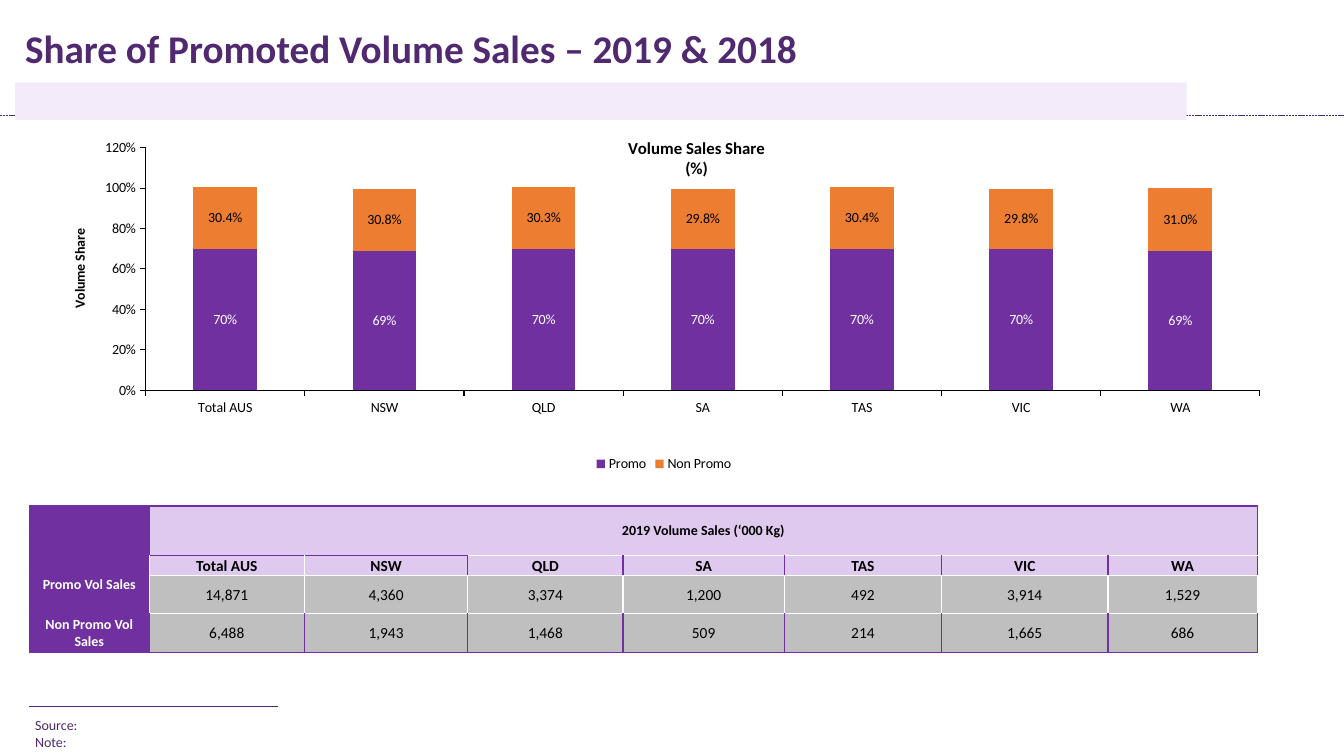
from lxml.etree import SubElement
from pptx import Presentation
from pptx.chart.data import CategoryChartData
from pptx.dml.color import RGBColor
from pptx.enum.chart import XL_CHART_TYPE, XL_LEGEND_POSITION, XL_TICK_MARK
from pptx.enum.dml import MSO_LINE
from pptx.enum.shapes import MSO_CONNECTOR, MSO_SHAPE
from pptx.enum.text import MSO_ANCHOR, PP_ALIGN
from pptx.oxml import parse_xml
from pptx.oxml.ns import nsdecls, qn
from pptx.util import Inches, Pt

FONT = "Calibri"
INK, PURPLE, LILAC, GREY = "502970", "7030A0", "DFC9EF", "BFBFBF"
BLACK, WHITE = "000000", "FFFFFF"
STATES = ["Total AUS", "NSW", "QLD", "SA", "TAS", "VIC", "WA"]
SHARES = [
    ("Promo", [0.7, 0.69, 0.7, 0.7, 0.7, 0.7, 0.69], PURPLE, "0%", WHITE),
    ("Non Promo", [0.304, 0.308, 0.303, 0.298, 0.304, 0.298, 0.31], "ED7D31", "0.0%", BLACK),
]
VOLUMES = [
    ("Promo Vol Sales", ["14,871", "4,360", "3,374", "1,200", "492", "3,914", "1,529"]),
    ("Non Promo Vol Sales", ["6,488", "1,943", "1,468", "509", "214", "1,665", "686"]),
]
COL_WIDTHS = [1.19, 1.54, 1.62, 1.54, 1.6, 1.56, 1.65, 1.48]
ROW_HEIGHTS = [0.25, 0.24, 0.2, 0.38, 0.38]


def rgb(value):
    """Return the colour for a hex string."""
    return RGBColor.from_string(value)


def style(font, size, color, bold=False):
    """Set size, colour and weight of a font."""
    font.name, font.size, font.bold = FONT, Pt(size), bold
    font.color.rgb = rgb(color)


def add_text(s, text, x, y, w, h, size=10, bold=False, wrap=False, anchor=MSO_ANCHOR.TOP):
    """Add a text box in the ink colour."""
    tf = s.shapes.add_textbox(Inches(x), Inches(y), Inches(w), Inches(h)).text_frame
    tf.word_wrap, tf.vertical_anchor = wrap, anchor
    r = tf.paragraphs[0].add_run()
    r.text = text
    style(r.font, size, INK, bold)


def add_rule(s, x1, x2, y, dash=None):
    """Add a thin horizontal line."""
    line = s.shapes.add_connector(MSO_CONNECTOR.STRAIGHT, Inches(x1), Inches(y), Inches(x2), Inches(y))
    line.line.color.rgb = rgb(INK)
    line.line.width = Pt(0.5)
    if dash:
        line.line.dash_style = dash
    SubElement(line._element.spPr, qn("a:effectLst"))


def add_band(s, x, y, w, h, fill):
    """Add a plain filled rectangle."""
    sp = s.shapes.add_shape(MSO_SHAPE.RECTANGLE, Inches(x), Inches(y), Inches(w), Inches(h))
    sp.shadow.inherit = False
    sp.fill.solid()
    sp.fill.fore_color.rgb = rgb(fill)
    sp.line.fill.background()


def set_layout(element, index, x, y, w=None, h=None):
    """Give a chart part a manual layout in fractions of the chart."""
    for old in element.findall(qn("c:layout")):
        element.remove(old)
    target = '<c:layoutTarget val="inner"/>' if w else ""
    size = f'<c:w val="{w}"/><c:h val="{h}"/>' if w else ""
    element.insert(index, parse_xml(
        f'<c:layout {nsdecls("c")}><c:manualLayout>{target}<c:xMode val="edge"/><c:yMode val="edge"/>'
        f'<c:x val="{x}"/><c:y val="{y}"/>{size}</c:manualLayout></c:layout>'))


def add_title(title, text, size, x, y):
    """Fill and place a chart or axis title."""
    title.text_frame.text = text
    for p in title.text_frame.paragraphs:
        style(p.runs[0].font, size, BLACK, True)
    set_layout(title._element, 1, x, y)


def add_share_chart(s):
    """Add the stacked column chart of volume shares."""
    data = CategoryChartData()
    data.categories = STATES
    for name, values, *_ in SHARES:
        data.add_series(name, values)
    chart = s.shapes.add_chart(XL_CHART_TYPE.COLUMN_STACKED, Inches(0.16), Inches(1.33),
                               Inches(12.85), Inches(3.39), data).chart
    style(chart.font, 10, BLACK)
    chart.has_title = chart.has_legend = True
    add_title(chart.chart_title, "Volume Sales Share\n(%)", 12, 0.47, 0)
    chart.legend.position = XL_LEGEND_POSITION.BOTTOM
    chart.legend.include_in_layout = False
    for axis in (chart.category_axis, chart.value_axis):
        axis.has_major_gridlines = False
        axis.major_tick_mark = XL_TICK_MARK.OUTSIDE
        axis.format.line.color.rgb = rgb(BLACK)
        axis.format.line.width = Pt(0.75)
    axis = chart.value_axis
    axis.minimum_scale, axis.maximum_scale, axis.major_unit = 0, 1.2, 0.2
    axis.tick_labels.number_format = "0%"
    axis.tick_labels.number_format_is_linked = False
    add_title(axis.axis_title, "Volume Share", 10, 0.04, 0.27)
    plot = chart.plots[0]
    plot.vary_by_categories = False
    plot.gap_width, plot.overlap = 150, 100
    for series, (_, _, color, number_format, label_color) in zip(plot.series, SHARES):
        series.format.fill.solid()
        series.format.fill.fore_color.rgb = rgb(color)
        labels = series.data_labels
        labels.show_value = True
        labels.number_format = number_format
        labels.number_format_is_linked = False
        style(labels.font, 10, label_color)
    set_layout(chart._chartSpace.chart.plotArea, 0, 0.1, 0.04, 0.86, 0.71)


def set_borders(cell, left=PURPLE, right=PURPLE, top=WHITE, bottom=PURPLE):
    """Draw the four sides of a cell."""
    tcPr = cell._tc.get_or_add_tcPr()
    for index, (side, color) in enumerate(zip("LRTB", (left, right, top, bottom))):
        tcPr.insert(index, parse_xml(
            f'<a:ln{side} {nsdecls("a")} w="12700"><a:solidFill><a:srgbClr val="{color}"/>'
            f'</a:solidFill></a:ln{side}>'))


def fill_cell(cell, text="", fill=PURPLE, size=10, color=WHITE, bold=True, margin=0.01,
              anchor=MSO_ANCHOR.MIDDLE, **borders):
    """Set text, fill, margins and borders of a table cell."""
    cell.fill.solid()
    cell.fill.fore_color.rgb = rgb(fill)
    cell.vertical_anchor = anchor
    cell.margin_left = cell.margin_right = Inches(margin)
    cell.margin_top, cell.margin_bottom = Inches(0.01), 0
    p = cell.text_frame.paragraphs[0]
    p.alignment = PP_ALIGN.CENTER
    if text:
        r = p.add_run()
        r.text = text
        style(r.font, size, color, bold)
    else:
        SubElement(p._p, qn("a:endParaRPr")).set("sz", "1000")
    set_borders(cell, **borders)


def add_volume_table(s):
    """Add the table of volume sales by state."""
    table = s.shapes.add_table(len(ROW_HEIGHTS), len(COL_WIDTHS), Inches(0.29), Inches(5.02),
                               Inches(sum(COL_WIDTHS)), Inches(sum(ROW_HEIGHTS))).table
    for column, width in zip(table.columns, COL_WIDTHS):
        column.width = Inches(width)
    for row, height in zip(table.rows, ROW_HEIGHTS):
        row.height = Inches(height)
    table.cell(0, 1).merge(table.cell(1, 7))
    table.cell(1, 0).merge(table.cell(2, 0))
    for row in range(3):
        fill_cell(table.cell(row, 0), top=PURPLE)
    for row in range(2):
        for col in range(1, 8):
            text = "2019 Volume Sales (‘000 Kg)" if (row, col) == (0, 1) else ""
            fill_cell(table.cell(row, col), text, LILAC, color=BLACK, top=PURPLE)
    for col, state in enumerate(STATES, 1):
        fill_cell(table.cell(2, col), state, LILAC, 11, BLACK,
                  left=WHITE if col < 3 else PURPLE, right=WHITE if col == 1 else PURPLE,
                  top=PURPLE if col < 3 else WHITE, bottom=WHITE)
    anchors = [MSO_ANCHOR.TOP, MSO_ANCHOR.MIDDLE]
    for row, ((label, volumes), anchor) in enumerate(zip(VOLUMES, anchors), 3):
        fill_cell(table.cell(row, 0), label, margin=0.05, anchor=anchor, top=PURPLE)
        sides = dict.fromkeys(("left", "right", "bottom"), WHITE) if row == 3 else {}
        for col, volume in enumerate(volumes, 1):
            fill_cell(table.cell(row, col), volume, GREY, 11, BLACK, False, **sides)


def main():
    """Build the slide and save it."""
    prs = Presentation()
    prs.slide_width, prs.slide_height = Inches(13.33), Inches(7.5)
    s = prs.slides.add_slide(prs.slide_layouts[6])
    add_rule(s, 0, 13.33, 1.14, MSO_LINE.SQUARE_DOT)
    add_rule(s, 0.29, 2.76, 7.01)
    add_text(s, "Share of Promoted Volume Sales – 2019 & 2018", 0.15, 0.04, 12, 0.86,
             size=28, bold=True, wrap=True, anchor=MSO_ANCHOR.MIDDLE)
    add_share_chart(s)
    add_volume_table(s)
    add_band(s, 0.15, 0.82, 11.62, 0.37, "F3EBF9")
    add_text(s, "Source:", 0.25, 7.06, 0.68, 0.27)
    add_text(s, "Note:", 0.25, 7.23, 0.53, 0.27)
    prs.save("out.pptx")


if __name__ == "__main__":
    main()
